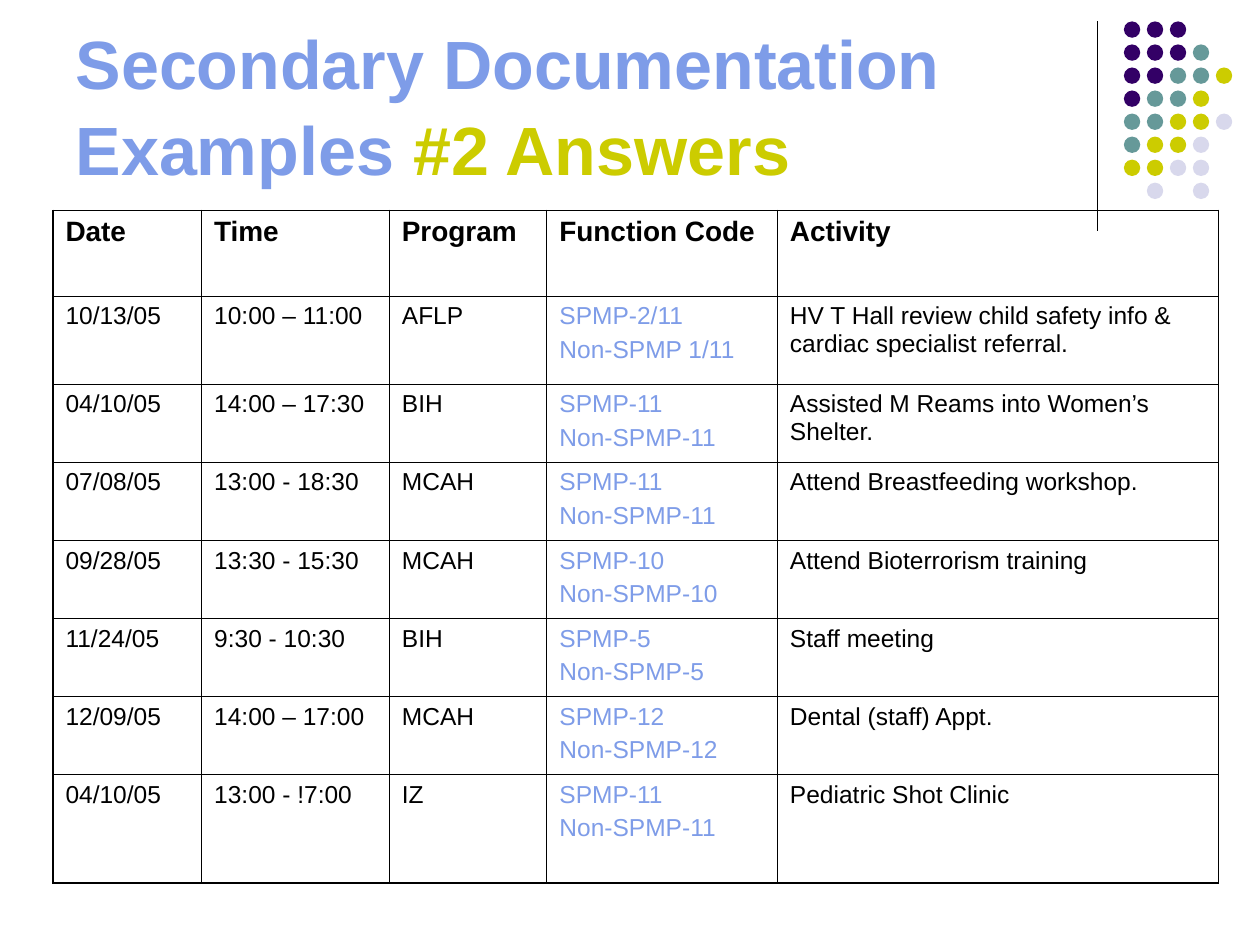
"""Build the slide with the answers to the second set of documentation examples."""
from lxml.etree import SubElement
from pptx import Presentation
from pptx.dml.color import RGBColor
from pptx.enum.shapes import MSO_CONNECTOR, MSO_SHAPE
from pptx.enum.text import MSO_ANCHOR, MSO_AUTO_SIZE, PP_ALIGN
from pptx.oxml import parse_xml
from pptx.oxml.ns import nsdecls, qn
from pptx.util import Inches, Pt

BLACK = RGBColor(0x00, 0x00, 0x00)
BLUE = RGBColor(0x7E, 0x9C, 0xE8)
PURPLE = RGBColor(0x33, 0x00, 0x66)
TEAL = RGBColor(0x66, 0x99, 0x99)
LIME = RGBColor(0xCC, 0xCC, 0x00)
LAVENDER = RGBColor(0xD8, 0xD8, 0xEC)

THIN, THICK = 0.45, 1.08


def add_text(paragraph, text, size=14, color=BLACK, bold=False):
    run = paragraph.add_run()
    run.text = text
    run.font.name = "Arial"
    run.font.size = Pt(size)
    run.font.bold = bold
    run.font.color.rgb = color


def add_border(cell, side, width):
    cell._tc.get_or_add_tcPr().append(parse_xml(
        f'<a:{side} {nsdecls("a")} w="{Pt(width)}"><a:solidFill>'
        f'<a:srgbClr val="{BLACK}"/></a:solidFill></a:{side}>'))


prs = Presentation()
prs.slide_width, prs.slide_height = Inches(10), Inches(7.5)
slide = prs.slides.add_slide(prs.slide_layouts[5])
shapes = slide.shapes

divider = shapes.add_connector(
    MSO_CONNECTOR.STRAIGHT, Inches(8.71), Inches(0.17), Inches(8.71), Inches(1.83))
divider.line.color.rgb = BLACK
divider.line.width = Pt(0.75)
SubElement(divider._element.spPr, qn("a:effectLst"))

dot_colors = {"P": PURPLE, "T": TEAL, "Y": LIME, "L": LAVENDER}
dot_rows = ["PPP", "PPPT", "PPTTY", "PTTY", "TTYYL", "TYYL", "YYLL", ".L.L"]
dots = shapes.add_group_shape()
for row, letters in enumerate(dot_rows):
    for col, letter in enumerate(letters):
        if letter in dot_colors:
            dot = dots.shapes.add_shape(
                MSO_SHAPE.OVAL, Inches(8.92 + col * 0.73 / 4),
                Inches(0.17 + row * 1.28 / 7), Inches(0.13), Inches(0.13))
            dot.shadow.inherit = False
            dot.fill.solid()
            dot.fill.fore_color.rgb = dot_colors[letter]
            dot.line.fill.background()

title = shapes.title
title.left, title.top = Inches(0.5), Inches(0.13)
title.width, title.height = Inches(8.25), Inches(1.42)
title_frame = title.text_frame
title_frame.word_wrap = True
title_frame.auto_size = MSO_AUTO_SIZE.NONE
title_frame.vertical_anchor = MSO_ANCHOR.BOTTOM
heading = title_frame.paragraphs[0]
heading.alignment = PP_ALIGN.LEFT
heading.line_spacing = 1.05
add_text(heading, "Secondary Documentation", size=39, color=BLUE, bold=True)
heading.add_line_break()
add_text(heading, "Examples ", size=39, color=BLUE, bold=True)
add_text(heading, "#2 Answers", size=39, color=LIME, bold=True)

entries = [
    ("Date", "Time", "Program", "Function Code", "Activity"),
    ("10/13/05", "10:00 – 11:00", "AFLP", "SPMP-2/11\nNon-SPMP 1/11",
     "HV T Hall review child safety info & cardiac specialist referral."),
    ("04/10/05", "14:00 – 17:30", "BIH", "SPMP-11\nNon-SPMP-11",
     "Assisted M Reams into Women’s Shelter."),
    ("07/08/05", "13:00 - 18:30", "MCAH", "SPMP-11\nNon-SPMP-11",
     "Attend Breastfeeding workshop."),
    ("09/28/05", "13:30 - 15:30", "MCAH", "SPMP-10\nNon-SPMP-10",
     "Attend Bioterrorism training"),
    ("11/24/05", "9:30 - 10:30", "BIH", "SPMP-5\nNon-SPMP-5", "Staff meeting"),
    ("12/09/05", "14:00 – 17:00", "MCAH", "SPMP-12\nNon-SPMP-12",
     "Dental (staff) Appt."),
    ("04/10/05", "13:00 - !7:00", "IZ", "SPMP-11\nNon-SPMP-11",
     "Pediatric Shot Clinic"),
]
col_widths = [1.18, 1.49, 1.25, 1.83, 3.5]
row_heights = [0.68, 0.7] + [0.62] * 5 + [0.86]
last_row, last_col = len(row_heights) - 1, len(col_widths) - 1

log = shapes.add_table(len(row_heights), len(col_widths), Inches(0.42), Inches(1.67),
                       Inches(9.25), Inches(5.34)).table
log.first_row = log.horz_banding = False
for column, width in zip(log.columns, col_widths):
    column.width = Inches(width)
for table_row, height in zip(log.rows, row_heights):
    table_row.height = Inches(height)

for row, entry in enumerate(entries):
    for col, text in enumerate(entry):
        cell = log.cell(row, col)
        add_border(cell, "lnL", THICK if col == 0 else THIN)
        add_border(cell, "lnR", THICK if col == last_col else THIN)
        add_border(cell, "lnT", THICK if row == 0 else THIN)
        add_border(cell, "lnB", THICK if row == last_row else THIN)
        cell.fill.background()
        is_header = row == 0
        is_code = col == 3 and not is_header
        for index, line in enumerate(text.split("\n")):
            paragraph = cell.text_frame.paragraphs[0]
            if index:
                paragraph = cell.text_frame.add_paragraph()
                paragraph.space_before = Pt(3.5)
            add_text(paragraph, line, size=16 if is_header else 14,
                     color=BLUE if is_code else BLACK, bold=is_header)

prs.save("out.pptx")
